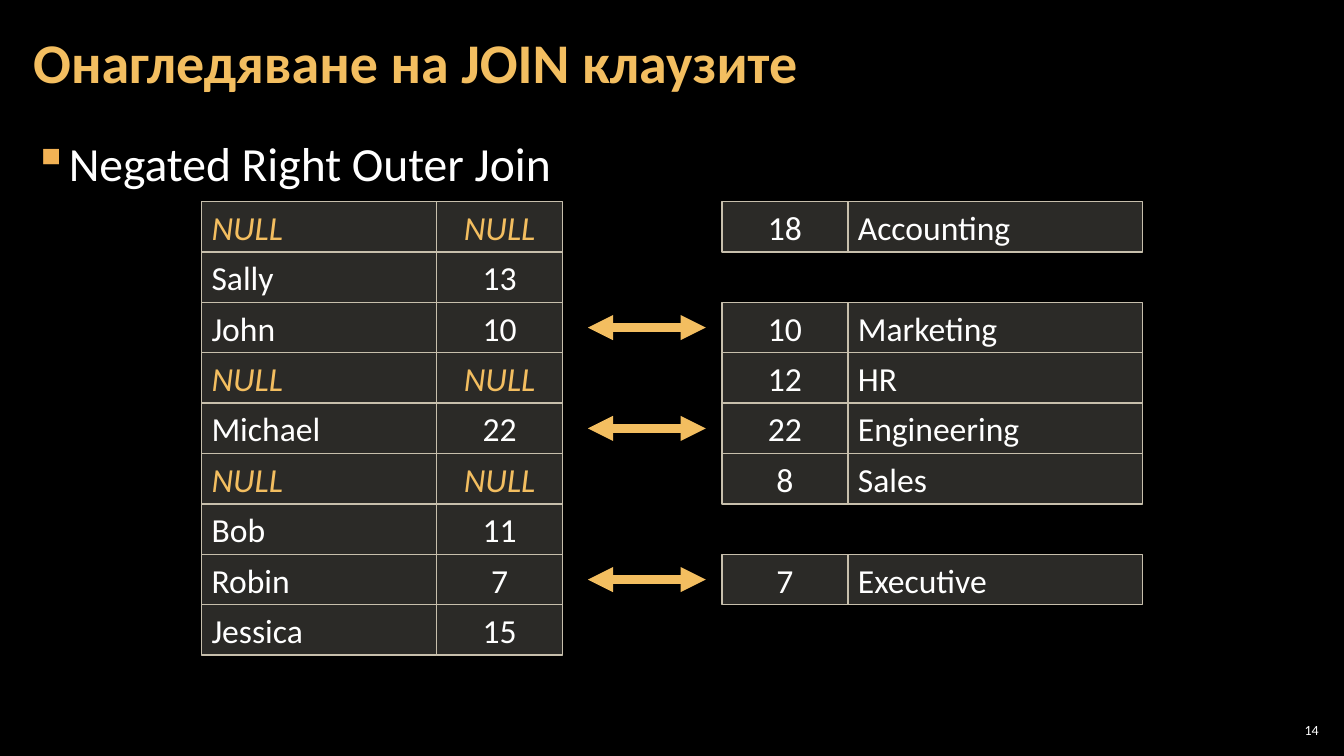
from dataclasses import dataclass
from typing import Optional

from lxml.etree import SubElement
from pptx import Presentation
from pptx.dml.color import RGBColor
from pptx.enum.shapes import MSO_CONNECTOR, MSO_SHAPE
from pptx.enum.text import MSO_ANCHOR, PP_ALIGN
from pptx.oxml.ns import qn
from pptx.util import Inches, Pt

COLORS = {
    "background": "000000",
    "text": "FFFFFF",
    "accent": "F3BE60",
    "bullet": "F2B254",
    "cell": "D9D5C7",
    "border": "C7BFAC",
}
FONT = "Calibri"
TOP, ROW_H = 2.0, 0.5
NAME_X, NAME_W = 2.0, 2.33
KEY_W = 1.25
LEFT_KEY_X = NAME_X + NAME_W
RIGHT_KEY_X = 7.16
DEPT_X, DEPT_W = RIGHT_KEY_X + KEY_W, 2.92
ARROW_X1, ARROW_X2 = 5.83, 7.0


@dataclass
class JoinRow:
    name: str
    name_key: str
    dept_key: Optional[str] = None
    dept: Optional[str] = None


ROWS = [
    JoinRow("NULL", "NULL", "18", "Accounting"),
    JoinRow("Sally", "13"),
    JoinRow("John", "10", "10", "Marketing"),
    JoinRow("NULL", "NULL", "12", "HR"),
    JoinRow("Michael", "22", "22", "Engineering"),
    JoinRow("NULL", "NULL", "8", "Sales"),
    JoinRow("Bob", "11"),
    JoinRow("Robin", "7", "7", "Executive"),
    JoinRow("Jessica", "15"),
]


def rgb(name: str) -> RGBColor:
    return RGBColor.from_string(COLORS[name])


def add_run(p, text: str, size: float, color: str = "text",
            bold: bool = False, italic: bool = False) -> None:
    r = p.add_run()
    r.text = text
    r.font.name = FONT
    r.font.size = Pt(size)
    r.font.bold = bold
    r.font.italic = italic
    r.font.color.rgb = rgb(color)


def add_box(s, x: float, y: float, w: float, h: float,
            side: float, anchor: MSO_ANCHOR):
    """Add a text box and return its first paragraph."""
    tf = s.shapes.add_textbox(Inches(x), Inches(y), Inches(w), Inches(h)).text_frame
    tf.word_wrap = True
    tf.vertical_anchor = anchor
    tf.margin_left = tf.margin_right = Inches(side)
    tf.margin_top = tf.margin_bottom = Inches(0.04)
    return tf.paragraphs[0]


def add_bullet(p, char: str, indent: float) -> None:
    pPr = p._p.get_or_add_pPr()
    pPr.set("marL", str(Inches(indent)))
    pPr.set("indent", str(-Inches(indent)))
    clr = SubElement(pPr, qn("a:buClr"))
    SubElement(clr, qn("a:srgbClr"), val=COLORS["bullet"])
    SubElement(pPr, qn("a:buChar"), char=char)


def add_cell(s, text: str, x: float, y: float, w: float, align: PP_ALIGN) -> None:
    sp = s.shapes.add_shape(MSO_SHAPE.RECTANGLE, Inches(x), Inches(y),
                            Inches(w), Inches(ROW_H))
    sp.shadow.inherit = False
    sp.fill.solid()
    sp.fill.fore_color.rgb = rgb("cell")
    fill_clr = sp._element.spPr.find(qn("a:solidFill")).find(qn("a:srgbClr"))
    SubElement(fill_clr, qn("a:alpha"), val="20000")
    sp.line.color.rgb = rgb("border")
    sp.line.width = Pt(1)
    tf = sp.text_frame
    tf.vertical_anchor = MSO_ANCHOR.MIDDLE
    p = tf.paragraphs[0]
    p.alignment = align
    is_null = text == "NULL"
    add_run(p, text, 24, "accent" if is_null else "text", italic=is_null)


def add_match_arrow(s, y: float) -> None:
    cxn = s.shapes.add_connector(MSO_CONNECTOR.STRAIGHT, Inches(ARROW_X1), Inches(y),
                                 Inches(ARROW_X2), Inches(y))
    cxn.line.color.rgb = rgb("accent")
    cxn.line.width = Pt(6)
    ln = cxn.line._get_or_add_ln()
    for end in ("a:headEnd", "a:tailEnd"):
        SubElement(ln, qn(end), type="triangle")
    SubElement(cxn._element.spPr, qn("a:effectLst"))


def main() -> None:
    prs = Presentation()
    prs.slide_width, prs.slide_height = Inches(13.33), Inches(7.5)
    s = prs.slides.add_slide(prs.slide_layouts[6])
    s.background.fill.solid()
    s.background.fill.fore_color.rgb = rgb("background")

    # Slide number
    p = add_box(s, 12.65, 7.14, 0.47, 0.21, 0.04, MSO_ANCHOR.MIDDLE)
    p.alignment = PP_ALIGN.RIGHT
    add_run(p, "14", 10)

    # Bullet text
    p = add_box(s, 0.21, 1.26, 12.91, 6.09, 0.12, MSO_ANCHOR.TOP)
    p.line_spacing = 1.05
    p.space_after = Pt(6)
    add_bullet(p, "▪", 0.33)
    add_run(p, "Negated Right Outer Join", 34)

    # Title
    p = add_box(s, 0.21, 0.04, 10.47, 1.21, 0.12, MSO_ANCHOR.MIDDLE)
    p.line_spacing = 0.9
    add_run(p, "Онагледяване на JOIN клаузите", 40, "accent", bold=True)

    # Joined rows, with an arrow where the keys match
    for i, row in enumerate(ROWS):
        y = TOP + i * ROW_H
        add_cell(s, row.name, NAME_X, y, NAME_W, PP_ALIGN.LEFT)
        add_cell(s, row.name_key, LEFT_KEY_X, y, KEY_W, PP_ALIGN.CENTER)
        if row.dept is not None:
            add_cell(s, row.dept_key, RIGHT_KEY_X, y, KEY_W, PP_ALIGN.CENTER)
            add_cell(s, row.dept, DEPT_X, y, DEPT_W, PP_ALIGN.LEFT)
        if row.name_key == row.dept_key:
            add_match_arrow(s, y + ROW_H / 2)

    prs.save("out.pptx")


if __name__ == "__main__":
    main()
